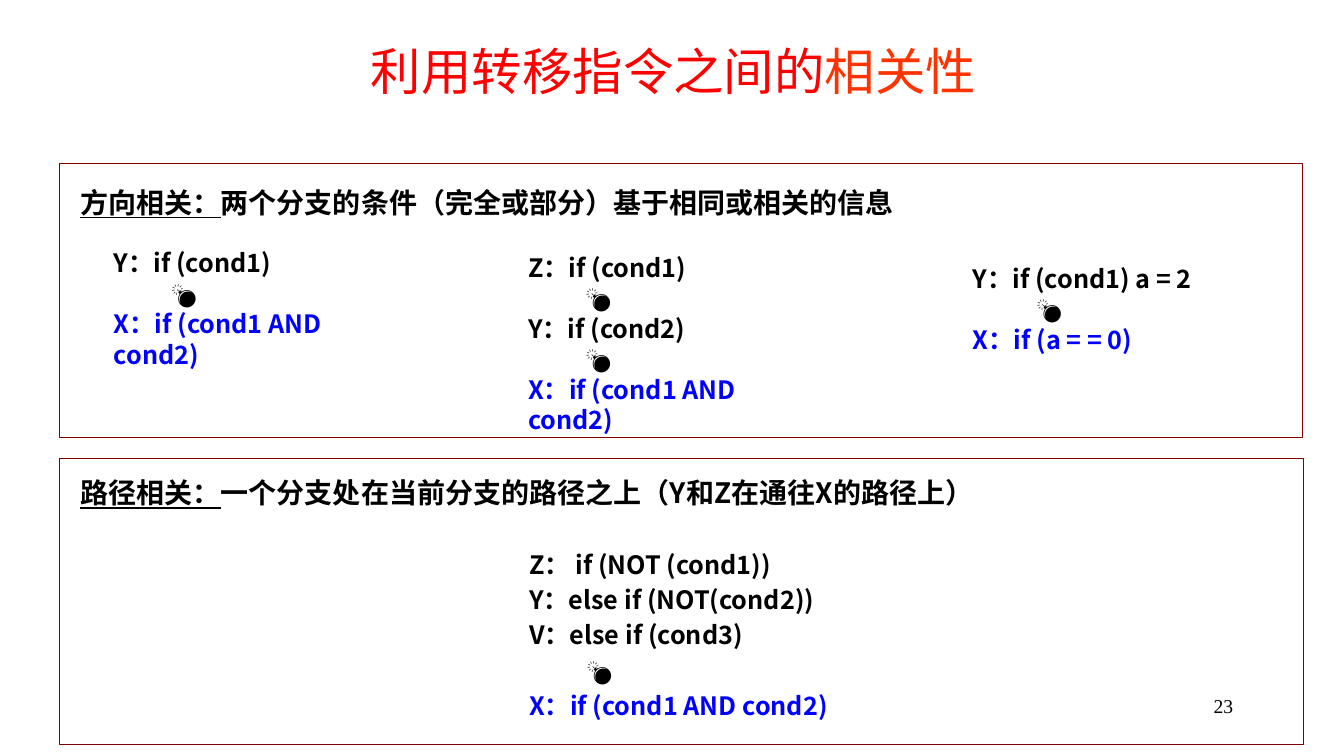
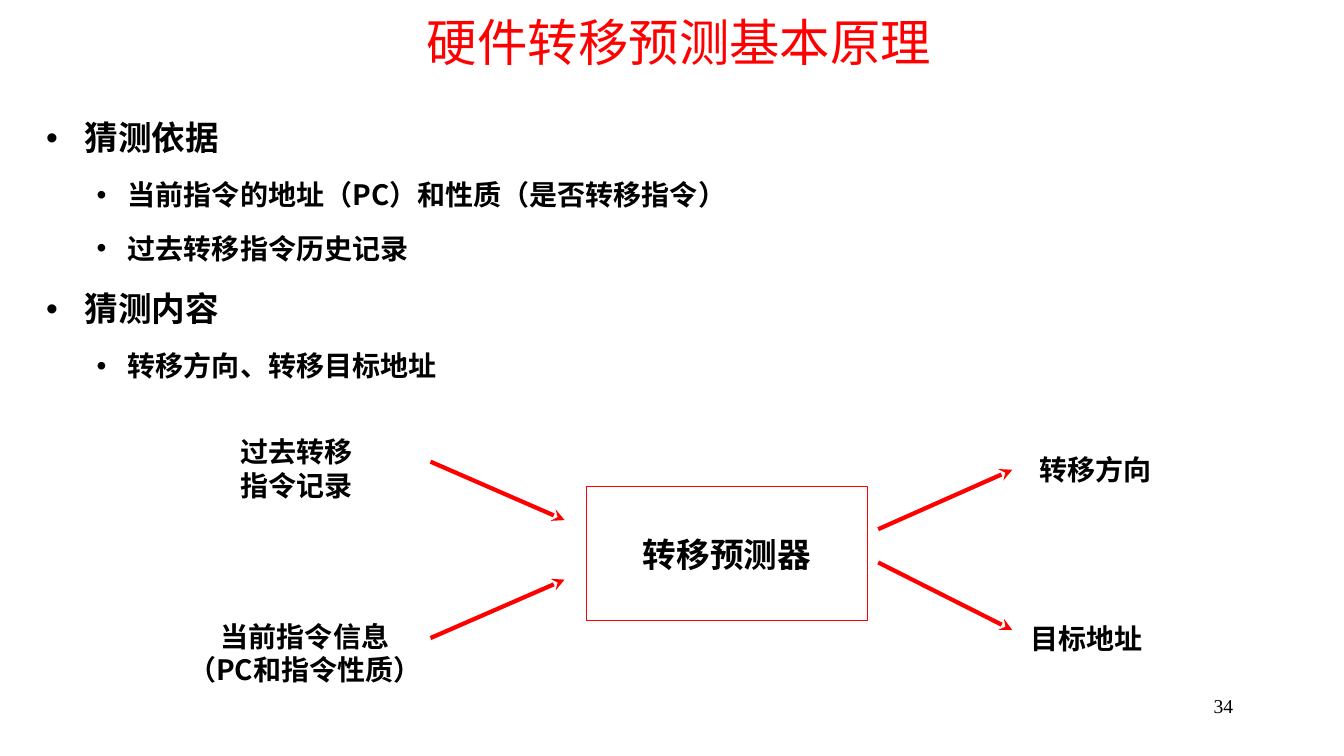
from dataclasses import dataclass

from lxml import etree
from pptx import Presentation
from pptx.dml.color import RGBColor
from pptx.enum.shapes import MSO_CONNECTOR, MSO_SHAPE
from pptx.enum.text import MSO_ANCHOR, PP_ALIGN
from pptx.oxml.ns import qn
from pptx.util import Emu, Pt

LEFT, CENTER, RIGHT = PP_ALIGN.LEFT, PP_ALIGN.CENTER, PP_ALIGN.RIGHT
TOP, MIDDLE, BOTTOM = MSO_ANCHOR.TOP, MSO_ANCHOR.MIDDLE, MSO_ANCHOR.BOTTOM
RECTANGLE = MSO_SHAPE.RECTANGLE
STRAIGHT = MSO_CONNECTOR.STRAIGHT
PX = 9144  # 100 px to the inch


@dataclass(frozen=True)
class Theme:
    ink: str = "000000"
    red: str = "FF0000"
    orange: str = "FF3300"
    blue: str = "0000FF"
    frame: str = "800000"
    sans: str = "Noto Sans CJK SC"
    title_font: str = "Arial"
    serif: str = "Times New Roman"
    label_font: str = "Roboto"
    title: int = 36
    large: int = 24
    body: int = 20
    code: int = 18
    number: int = 14
    thin: float = 0.75
    thick: float = 3
    line_height: float = 1.21


THEME = Theme()

# Content: boxes are (left, top, width, height)
NUMBER_BOX = (955, 683, 278, 50)
BOMB = "💣"

CORRELATION = {
    "number": "23",
    "title": [("利用转移指令之间的", {}), ("相关性", {"color": THEME.orange})],
    "title_box": (70, 0, 1196, 105),
    "title_anchor": BOTTOM,
    "headings": [
        ((70, 174, 1127, 53), "方向相关：",
         "两个分支的条件（完全或部分）基于相同或相关的信息", THEME.serif),
        ((70, 461, 1210, 55), "路径相关：",
         "一个分支处在当前分支的路径之上（Y和Z在通往X的路径上）", THEME.sans),
    ],
    # box, bomb indent, space before, lines (the last one is the predicted branch)
    "code": [
        ((103, 247, 314, 118), 57, 0,
         ["Y：if (cond1)", BOMB, "X：if (cond1 AND cond2)"]),
        ((514, 246, 314, 189), 57, 0,
         ["Z：if (cond1)", BOMB, "Y：if (cond2)", BOMB, "X：if (cond1 AND cond2)"]),
        ((955, 247, 263, 118), 63, 0,
         ["Y：if (cond1) a = 2", BOMB, "X：if (a = = 0)"]),
        ((515, 537, 336, 185), 57, 3.5,
         ["Z： if (NOT (cond1))", "Y：else if (NOT(cond2))", "V：else if (cond3)",
          BOMB, "X：if (cond1 AND cond2)"]),
    ],
    "frames": [(59, 162, 1233, 272), (59, 455, 1234, 284)],
}

PREDICTOR = {
    "number": "34",
    "title": [("硬件转移预测基本原理", {})],
    "title_box": (107, 17, 1133, 48),
    "title_anchor": MIDDLE,
    "outline_box": (36, 91, 1270, 300),
    "outline": [
        (0, "猜测依据"),
        (1, "当前指令的地址（PC）和性质（是否转移指令）"),
        (1, "过去转移指令历史记录"),
        (0, "猜测内容"),
        (1, "转移方向、转移目标地址"),
    ],
    "core": ((582, 483, 278, 133), "转移预测器"),
    "labels": [
        ((229, 426, 133, 77), LEFT, THEME.serif, ["过去转移", "指令记录"]),
        ((175, 609, 255, 77), CENTER, THEME.sans, ["当前指令信息", "（PC和指令性质）"]),
        ((1021, 444, 133, 44), LEFT, THEME.label_font, ["转移方向"]),
        ((1012, 611, 194, 43), LEFT, THEME.serif, ["目标地址"]),
    ],
    "arrows": [
        (427, 458, 560, 516),
        (427, 633, 560, 575),
        (871, 558, 1004, 625),
        (871, 525, 1004, 466),
    ],
}

# Per outline level: text size, left margin, hanging indent
OUTLINE_LEVELS = [(THEME.large, 38, -38), (THEME.body, 81, -31)]


# Helpers
def emu(*lengths):
    return [Emu(length * PX) for length in lengths]


def rgb(color):
    return RGBColor.from_string(color)


def style_run(run, size, color=THEME.ink, font=THEME.sans, bold=True, underline=False):
    run.font.size = Pt(size)
    run.font.name = font
    run.font.bold = bold
    run.font.underline = underline
    run.font.color.rgb = rgb(color)
    east_asian = etree.Element(qn("a:ea"), typeface=THEME.sans)
    run.font._element.find(qn("a:latin")).addnext(east_asian)


def set_margins(paragraph, left, indent=0):
    properties = paragraph._p.get_or_add_pPr()
    properties.set("marL", str(left * PX))
    properties.set("indent", str(indent * PX))
    return properties


def write(frame, paragraphs, size, anchor=TOP, align=LEFT, before=0, **style):
    """Fill a frame; each paragraph is a list of (text, style changes)."""
    frame.word_wrap = True
    frame.vertical_anchor = anchor
    for index, runs in enumerate(paragraphs):
        paragraph = frame.paragraphs[0] if index == 0 else frame.add_paragraph()
        paragraph.alignment = align
        paragraph.line_spacing = Pt(size * THEME.line_height)
        if index and before:
            paragraph.space_before = Pt(before)
        for text, changes in runs:
            run = paragraph.add_run()
            run.text = text
            style_run(run, size, **{**style, **changes})
    return frame


def add_text(slide, box, paragraphs, size, **options):
    frame = slide.shapes.add_textbox(*emu(*box)).text_frame
    return write(frame, paragraphs, size, **options)


def add_frame(slide, box, color):
    shape = slide.shapes.add_shape(RECTANGLE, *emu(*box))
    shape.shadow.inherit = False
    shape.fill.background()
    shape.line.color.rgb = rgb(color)
    shape.line.width = Pt(THEME.thin)
    return shape


def add_arrow(slide, ends):
    arrow = slide.shapes.add_connector(STRAIGHT, *emu(*ends))
    arrow.line.color.rgb = rgb(THEME.red)
    arrow.line.width = Pt(THEME.thick)
    etree.SubElement(arrow.line._get_or_add_ln(), qn("a:tailEnd"), type="stealth")
    etree.SubElement(arrow._element.spPr, qn("a:effectLst"))


def add_outline(slide, box, items):
    frame = slide.shapes.add_textbox(*emu(*box)).text_frame
    frame.word_wrap = True
    for index, (level, text) in enumerate(items):
        size, left, indent = OUTLINE_LEVELS[level]
        paragraph = frame.paragraphs[0] if index == 0 else frame.add_paragraph()
        paragraph.text = text
        paragraph.level = level
        paragraph.line_spacing = Pt(size * THEME.line_height * 1.5)
        if index:
            paragraph.space_before = Pt(2)
        properties = set_margins(paragraph, left, indent)
        etree.SubElement(properties, qn("a:buFont"), typeface=THEME.title_font)
        etree.SubElement(properties, qn("a:buChar"), char="•")
        style_run(paragraph.runs[0], size)


def start_slide(presentation, content):
    slide = presentation.slides.add_slide(presentation.slide_layouts[6])
    add_text(slide, NUMBER_BOX, [[(content["number"], {})]], THEME.number,
             align=RIGHT, font=THEME.serif, bold=False)
    add_text(slide, content["title_box"], [content["title"]], THEME.title,
             anchor=content["title_anchor"], align=CENTER,
             color=THEME.red, font=THEME.title_font, bold=False)
    return slide


# Slides
def build_correlation(presentation):
    content = CORRELATION
    slide = start_slide(presentation, content)
    for box, bomb_indent, before, lines in content["code"]:
        paragraphs = [[(line, {})] for line in lines[:-1]]
        paragraphs.append([(lines[-1], {"color": THEME.blue})])
        frame = add_text(slide, box, paragraphs, THEME.code,
                         anchor=MIDDLE, before=before)
        for paragraph in frame.paragraphs:
            if paragraph.text == BOMB:
                set_margins(paragraph, bomb_indent)
    for box, term, meaning, font in content["headings"]:
        runs = [(term, {"underline": True}), (meaning, {"font": font})]
        add_text(slide, box, [runs], THEME.body, anchor=MIDDLE)
    for box in content["frames"]:
        add_frame(slide, box, THEME.frame)


def build_predictor(presentation):
    content = PREDICTOR
    slide = start_slide(presentation, content)
    add_outline(slide, content["outline_box"], content["outline"])
    box, name = content["core"]
    core = add_frame(slide, box, THEME.red)
    write(core.text_frame, [[(name, {})]], THEME.large,
          anchor=MIDDLE, align=CENTER, font=THEME.title_font)
    for box, align, font, lines in content["labels"]:
        add_text(slide, box, [[(line, {})] for line in lines], THEME.body,
                 align=align, font=font)
    for ends in content["arrows"]:
        add_arrow(slide, ends)


def main():
    presentation = Presentation()
    presentation.slide_width, presentation.slide_height = emu(1333, 750)
    build_correlation(presentation)
    build_predictor(presentation)
    presentation.save("out.pptx")


if __name__ == "__main__":
    main()
